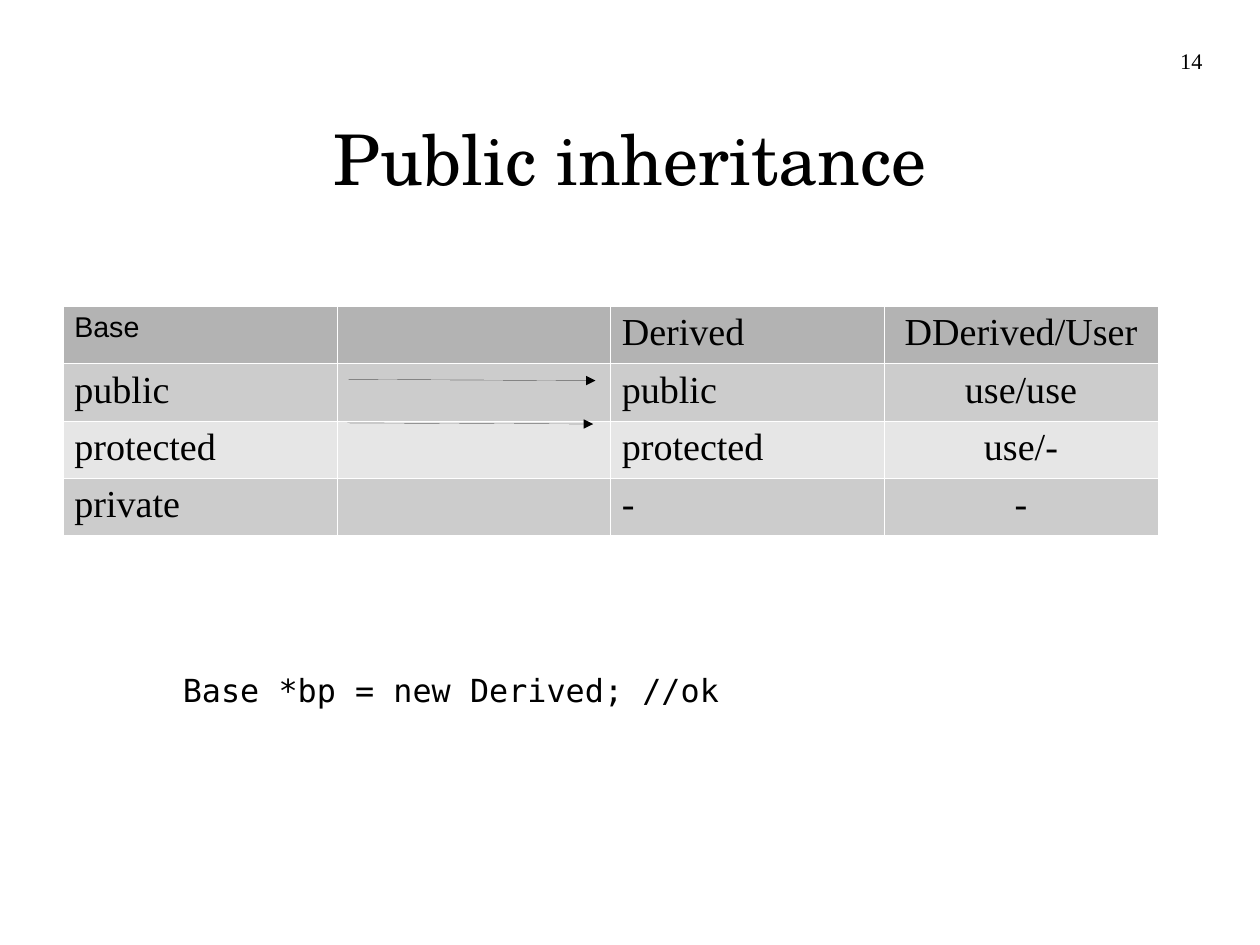
from lxml import etree
from pptx import Presentation
from pptx.dml.color import RGBColor
from pptx.enum import shapes, text
from pptx.oxml import ns
from pptx.util import Inches, Pt

BLACK = RGBColor(0, 0, 0)
WHITE = RGBColor(255, 255, 255)
HEAD = RGBColor(0xB3, 0xB3, 0xB3)
DARK = RGBColor(0xCC, 0xCC, 0xCC)
LIGHT = RGBColor(0xE6, 0xE6, 0xE6)

SERIF = "Times New Roman"
LEFT, CENTER, RIGHT = (text.PP_ALIGN.LEFT, text.PP_ALIGN.CENTER,
                       text.PP_ALIGN.RIGHT)

ROWS = [
    ("Base", "", "Derived", "DDerived/User"),
    ("public", "", "public", "use/use"),
    ("protected", "", "protected", "use/-"),
    ("private", "", "-", "-"),
]
FILLS = [HEAD, DARK, LIGHT, DARK]


def write(frame, words, size=24, font=SERIF, align=LEFT):
    """Put one formatted line into a text frame."""
    para = frame.paragraphs[0]
    para.alignment = align
    run = para.add_run()
    run.text = words
    run.font.size = Pt(size)
    run.font.name = font
    run.font.color.rgb = BLACK


def add_text(slide, box, words, anchor=text.MSO_ANCHOR.TOP, **style):
    frame = slide.shapes.add_textbox(*map(Inches, box)).text_frame
    frame.word_wrap = True
    frame.vertical_anchor = anchor
    frame.margin_left = frame.margin_right = 0
    frame.margin_top = frame.margin_bottom = 0
    write(frame, words, **style)


def add_border(cell):
    """Draw a hairline on all four sides of a cell."""
    props = cell._tc.get_or_add_tcPr()
    for spot, side in enumerate(("lnL", "lnR", "lnT", "lnB")):
        line = etree.Element(ns.qn("a:" + side), w=str(Pt(0.06)))
        fill = etree.SubElement(line, ns.qn("a:solidFill"))
        etree.SubElement(fill, ns.qn("a:srgbClr"), val=str(WHITE))
        props.insert(spot, line)


def add_grid(slide, left, top, wide, high):
    """Draw the access table, with equal columns and rows."""
    count = len(ROWS[0])
    table = slide.shapes.add_table(
        len(ROWS), count, Inches(left), Inches(top),
        Inches(wide), Inches(high)).table
    for col in table.columns:
        col.width = Inches(wide / count)
    for r, (row, color) in enumerate(zip(ROWS, FILLS)):
        table.rows[r].height = Inches(high / len(ROWS))
        for c, words in enumerate(row):
            cell = table.cell(r, c)
            cell.fill.solid()
            cell.fill.fore_color.rgb = color
            add_border(cell)
            if words == "Base":
                write(cell.text_frame, words, size=18, font="Arial")
            elif words:
                write(cell.text_frame, words,
                      align=CENTER if c == count - 1 else LEFT)


def add_arrow(slide, *ends):
    arrow = slide.shapes.add_connector(
        shapes.MSO_CONNECTOR.STRAIGHT, *map(Inches, ends))
    arrow.line.color.rgb = BLACK
    line = arrow.line._get_or_add_ln()
    line.set("w", "0")
    etree.SubElement(line, ns.qn("a:tailEnd"), type="triangle")
    etree.SubElement(arrow._element.spPr, ns.qn("a:effectLst"))


def main():
    deck = Presentation()
    # A page of 28 by 21 centimetres
    deck.slide_width, deck.slide_height = Inches(28 / 2.54), Inches(21 / 2.54)
    slide = deck.slides.add_slide(deck.slide_layouts[6])

    # Title
    add_text(slide, (0.81, 0.69, 9.41, 1.38), "Public inheritance",
             anchor=text.MSO_ANCHOR.MIDDLE, size=44,
             font="TeX Gyre Schola", align=CENTER)

    # Access table, with arrows from base to derived
    add_grid(slide, 0.55, 2.68, 9.58, 2)
    add_arrow(slide, 3.05, 3.32, 5.21, 3.33)
    add_arrow(slide, 3.04, 3.7, 5.19, 3.71)

    # Code line
    add_text(slide, (1.6, 5.87, 7.34, 1), "Base *bp = new Derived; //ok",
             size=20, font="DejaVu Sans Mono")

    # Page number
    add_text(slide, (7.95, 0.41, 2.57, 0.57), "14", size=14, align=RIGHT)

    deck.save("out.pptx")


if __name__ == "__main__":
    main()
